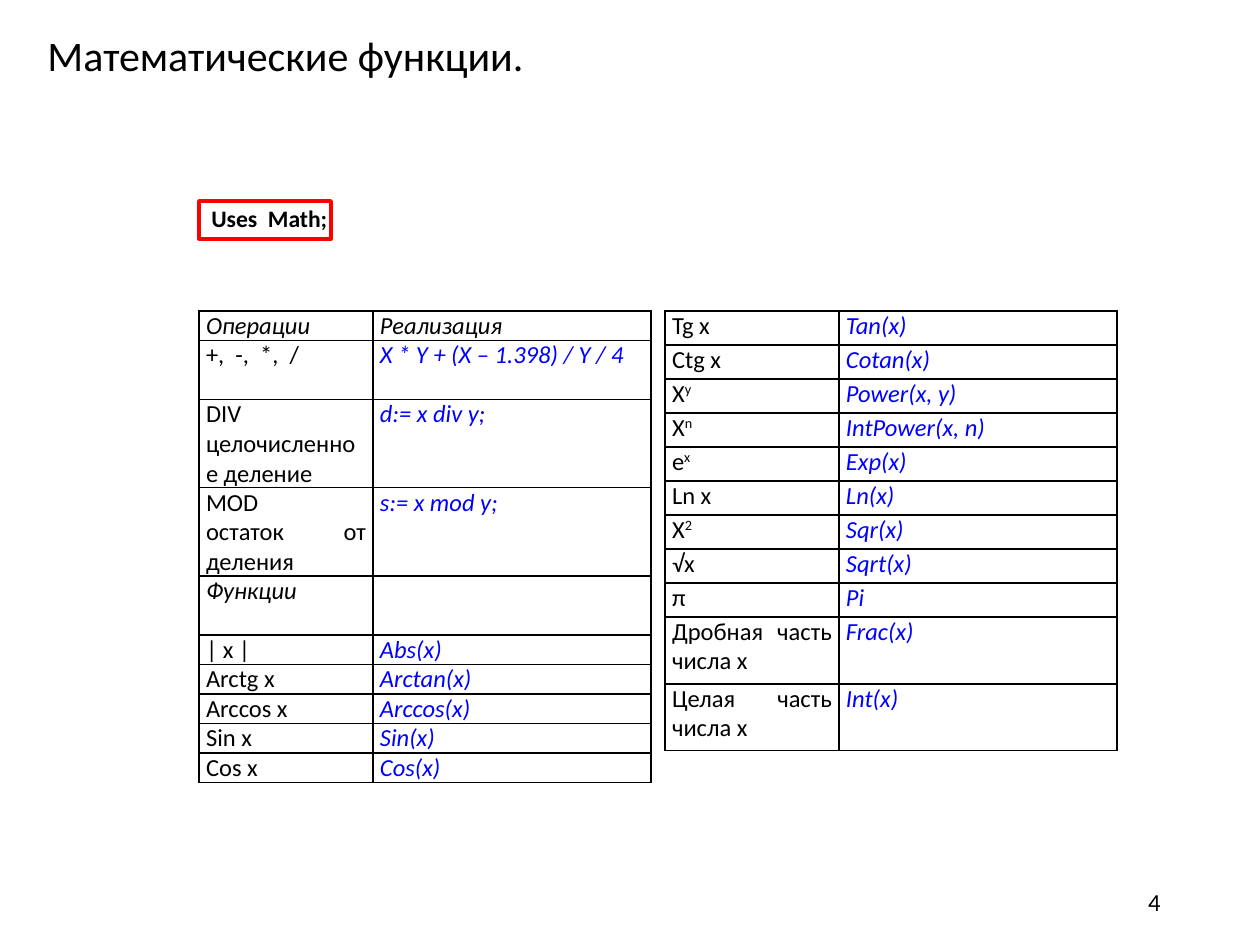
from lxml import etree
from pptx import Presentation
from pptx.dml.color import RGBColor
from pptx.enum.shapes import MSO_SHAPE
from pptx.enum.text import MSO_ANCHOR, PP_ALIGN
from pptx.oxml.ns import qn
from pptx.util import Emu, Pt

RECTANGLE = MSO_SHAPE.RECTANGLE
MIDDLE = MSO_ANCHOR.MIDDLE
TOP = MSO_ANCHOR.TOP
LEFT = PP_ALIGN.LEFT
RIGHT = PP_ALIGN.RIGHT
JUSTIFY = PP_ALIGN.JUSTIFY

PX_PER_INCH = 126
FONT = "Calibri"
BLACK, BLUE, RED = "000000", "0000FF", "FF0000"
BORDER_SIDES = ("a:lnL", "a:lnR", "a:lnT", "a:lnB")
TABLE_TOP = 311
CELL_INSET = 7
HEADINGS = ("Операции", "Функции")

OPERATIONS = [
    ("Операции", "Реализация", 29),
    ("+,  -,  *,  /", "X * Y + (X – 1.398) / Y / 4", 59),
    ("DIV целочисленное деление", "d:= x div y;", 88),
    ("MOD\nостаток от деления", "s:= x mod y;", 88),
    ("Функции", "", 59),
    ("| х |", "Abs(x)", 29),
    ("Arctg x", "Arctan(x)", 29),
    ("Arccos x", "Arccos(x)", 29),
    ("Sin x", "Sin(x)", 29),
    ("Cos x", "Cos(x)", 29),
]
FUNCTIONS = [
    ("Tg x", "Tan(x)", 34),
    ("Ctg x", "Cotan(x)", 34),
    ("X^y", "Power(x, y)", 34),
    ("X^n", "IntPower(x, n)", 34),
    ("e^x", "Exp(x)", 34),
    ("Ln x", "Ln(x)", 34),
    ("X^2", "Sqr(x)", 34),
    ("√x", "Sqrt(x)", 34),
    ("π", "Pi", 34),
    ("Дробная часть числа х", "Frac(x)", 67),
    ("Целая часть числа х", "Int(x)", 67),
]


def px(length):
    return Emu(round(length * 914400 / PX_PER_INCH))


def rgb(color):
    return RGBColor.from_string(color)


def add_run(paragraph, text, size, color=BLACK, bold=False, italic=False):
    run = paragraph.add_run()
    run.text = text
    font = run.font
    font.name, font.size = FONT, Pt(size)
    font.bold, font.italic = bold, italic
    font.color.rgb = rgb(color)
    return run


def add_label(shapes, box, text, size, align=LEFT, anchor=TOP, wrap=True, bold=False):
    frame = shapes.add_textbox(*map(px, box)).text_frame
    frame.word_wrap = wrap
    frame.vertical_anchor = anchor
    paragraph = frame.paragraphs[0]
    paragraph.alignment = align
    add_run(paragraph, text, size, bold=bold)


def add_outline(shapes, box, color, width):
    outline = shapes.add_shape(RECTANGLE, *map(px, box))
    outline.shadow.inherit = False
    outline.fill.background()
    outline.line.color.rgb = rgb(color)
    outline.line.width = Pt(width)


def set_borders(cell):
    properties = cell._tc.get_or_add_tcPr()
    for position, side in enumerate(BORDER_SIDES):
        border = etree.Element(qn(side), w=str(Pt(1)))
        fill = etree.SubElement(border, qn("a:solidFill"))
        etree.SubElement(fill, qn("a:srgbClr"), val=BLACK)
        properties.insert(position, border)


def fill_cell(cell, text, color, italic):
    cell.fill.background()
    set_borders(cell)
    cell.margin_left = cell.margin_right = px(CELL_INSET)
    cell.margin_top = cell.margin_bottom = 0
    frame = cell.text_frame
    for index, line in enumerate(text.split("\n")):
        paragraph = frame.add_paragraph() if index else frame.paragraphs[0]
        paragraph.alignment = JUSTIFY
        paragraph.font.size = Pt(14)
        base, _, power = line.partition("^")
        if base:
            add_run(paragraph, base, 14, color, italic=italic)
        if power:
            exponent = add_run(paragraph, power, 14, color, italic=italic)
            exponent._r.get_or_add_rPr().set("baseline", "30000")


def add_reference_table(shapes, left, column_widths, entries):
    height = sum(entry[2] for entry in entries)
    box = (left, TABLE_TOP, sum(column_widths), height)
    table = shapes.add_table(len(entries), 2, *map(px, box)).table
    table.first_row = table.horz_banding = False
    for column, width in zip(table.columns, column_widths):
        column.width = px(width)
    for index, (notation, code, row_height) in enumerate(entries):
        table.rows[index].height = px(row_height)
        fill_cell(table.cell(index, 0), notation, BLACK, notation in HEADINGS)
        code_color = BLACK if notation in HEADINGS else BLUE
        fill_cell(table.cell(index, 1), code, code_color, True)


def main():
    presentation = Presentation()
    presentation.slide_width, presentation.slide_height = px(1260), px(945)
    slide = presentation.slides.add_slide(presentation.slide_layouts[6])
    shapes = slide.shapes

    uses_clause = shapes.add_group_shape().shapes
    add_label(uses_clause, (199, 198, 169, 42), "Uses  Math;", 13.5, JUSTIFY, bold=True)
    add_outline(uses_clause, (199, 201, 132, 38), RED, 2)

    add_reference_table(shapes, 199, (174, 278), OPERATIONS)
    add_reference_table(shapes, 665, (174, 278), FUNCTIONS)

    add_label(shapes, (35, 23, 507, 63), "Математические функции.", 24, wrap=False)
    add_label(shapes, (890, 877, 283, 50), "4", 14, RIGHT, MIDDLE)
    presentation.save("out.pptx")


if __name__ == "__main__":
    main()
